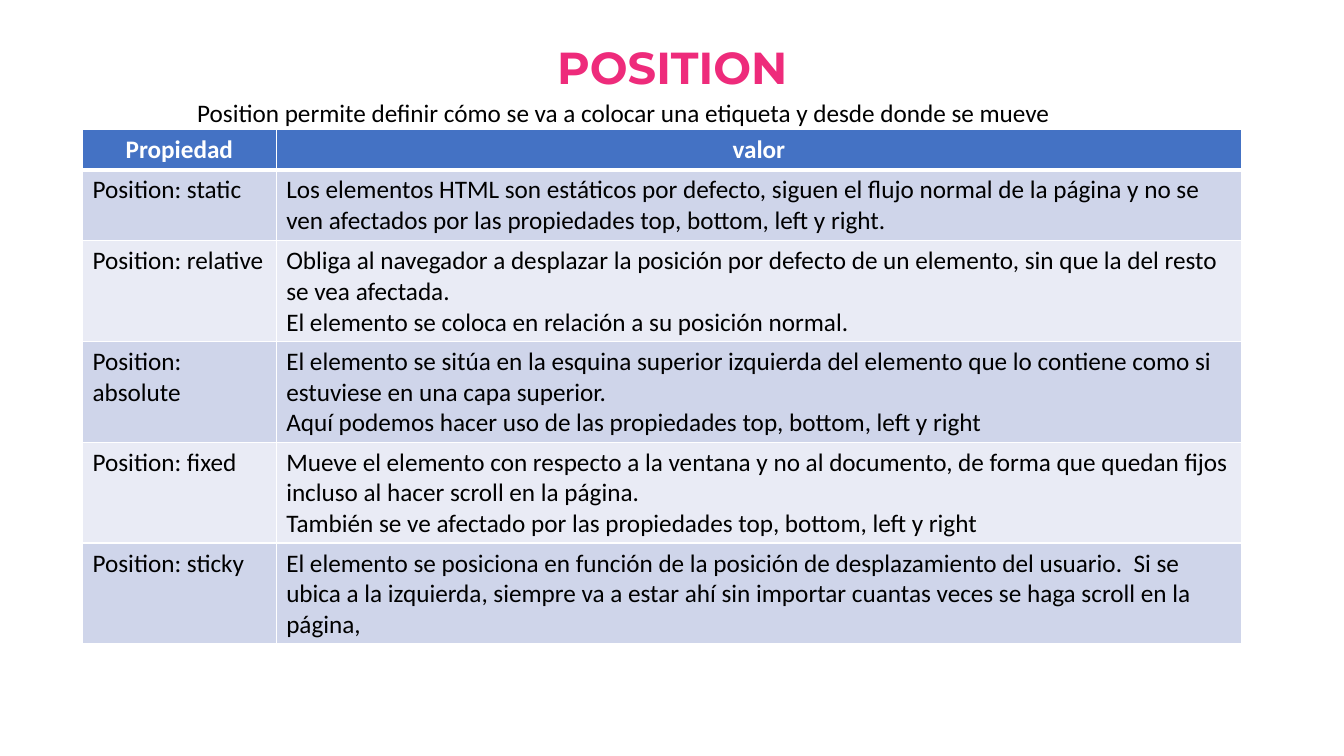
from lxml.etree import SubElement
from pptx import Presentation
from pptx.dml.color import RGBColor
from pptx.enum.text import MSO_ANCHOR, PP_ALIGN
from pptx.oxml.ns import qn
from pptx.util import Cm, Pt

PINK = RGBColor(0xEE, 0x2B, 0x7B)
BLUE = RGBColor(0x44, 0x72, 0xC4)
BAND_DARK = RGBColor(0xCF, 0xD5, 0xEA)
BAND_LIGHT = RGBColor(0xE9, 0xEB, 0xF5)
WHITE = RGBColor(0xFF, 0xFF, 0xFF)
BLACK = RGBColor(0x00, 0x00, 0x00)

ROWS = [
    ("Propiedad", "valor"),
    ("Position: static",
     "Los elementos HTML son estáticos por defecto, siguen el flujo normal de la página "
     "y no se ven afectados por las propiedades top, bottom, left y right."),
    ("Position: relative",
     "Obliga al navegador a desplazar la posición por defecto de un elemento, "
     "sin que la del resto se vea afectada.\n"
     "El elemento se coloca en relación a su posición normal."),
    ("Position: absolute",
     "El elemento se sitúa en la esquina superior izquierda del elemento que lo contiene "
     "como si estuviese en una capa superior.\n"
     "Aquí podemos hacer uso de las propiedades top, bottom, left y right"),
    ("Position: fixed",
     "Mueve el elemento con respecto a la ventana y no al documento, de forma que quedan "
     "fijos incluso al hacer scroll en la página.\n"
     "También se ve afectado por las propiedades top, bottom, left y right"),
    ("Position: sticky",
     "El elemento se posiciona en función de la posición de desplazamiento del usuario.  "
     "Si se ubica a la izquierda, siempre va a estar ahí sin importar cuantas veces "
     "se haga scroll en la página,"),
]
COLUMN_WIDTHS = [Cm(4.88), Cm(24.33)]
ROW_HEIGHTS = [Cm(1.03), Cm(1.78)] + [Cm(2.54)] * 4


def write_text(frame, text, size=18, font="Calibri", color=BLACK, bold=False,
               align=PP_ALIGN.LEFT, line_spacing=None):
    frame.word_wrap = True
    frame.text = text
    for paragraph in frame.paragraphs:
        paragraph.alignment = align
        paragraph.line_spacing = line_spacing
        for run in paragraph.runs:
            run.font.size = Pt(size)
            run.font.name = font
            run.font.bold = bold
            run.font.color.rgb = color


def add_white_borders(cell, top, bottom):
    """Draw the four cell edges; top and bottom are widths in points."""
    properties = cell._tc.get_or_add_tcPr()
    for edge, width in (("lnL", 1), ("lnR", 1), ("lnT", top), ("lnB", bottom)):
        line = SubElement(properties, qn(f"a:{edge}"), w=str(Pt(width)))
        fill = SubElement(line, qn("a:solidFill"))
        SubElement(fill, qn("a:srgbClr"), val=str(WHITE))


presentation = Presentation()
presentation.slide_width = Cm(33.87)
presentation.slide_height = Cm(19.05)
slide = presentation.slides.add_slide(presentation.slide_layouts[6])

title = slide.shapes.add_textbox(Cm(2.34), Cm(1.02), Cm(29.21), Cm(1.47)).text_frame
write_text(title, "POSITION", size=32, font="Montserrat", color=PINK, bold=True,
           align=PP_ALIGN.CENTER, line_spacing=0.9)
title.vertical_anchor = MSO_ANCHOR.MIDDLE

properties_table = slide.shapes.add_table(
    len(ROWS), len(COLUMN_WIDTHS), Cm(2.08), Cm(3.25),
    sum(COLUMN_WIDTHS), sum(ROW_HEIGHTS)).table
for column, width in zip(properties_table.columns, COLUMN_WIDTHS):
    column.width = width

for index, (row, height, texts) in enumerate(
        zip(properties_table.rows, ROW_HEIGHTS, ROWS)):
    row.height = height
    is_header = index == 0
    band = BLUE if is_header else BAND_DARK if index % 2 else BAND_LIGHT
    for cell, text in zip(row.cells, texts):
        add_white_borders(cell, top=3 if index == 1 else 1, bottom=3 if is_header else 1)
        cell.fill.solid()
        cell.fill.fore_color.rgb = band
        write_text(cell.text_frame, text, bold=is_header,
                   color=WHITE if is_header else BLACK,
                   align=PP_ALIGN.CENTER if is_header else PP_ALIGN.LEFT)

introduction = slide.shapes.add_textbox(Cm(4.72), Cm(2.34), Cm(25.37), Cm(1.8)).text_frame
write_text(introduction,
           "Position permite definir cómo se va a colocar una etiqueta y desde donde se mueve")

presentation.save("out.pptx")
